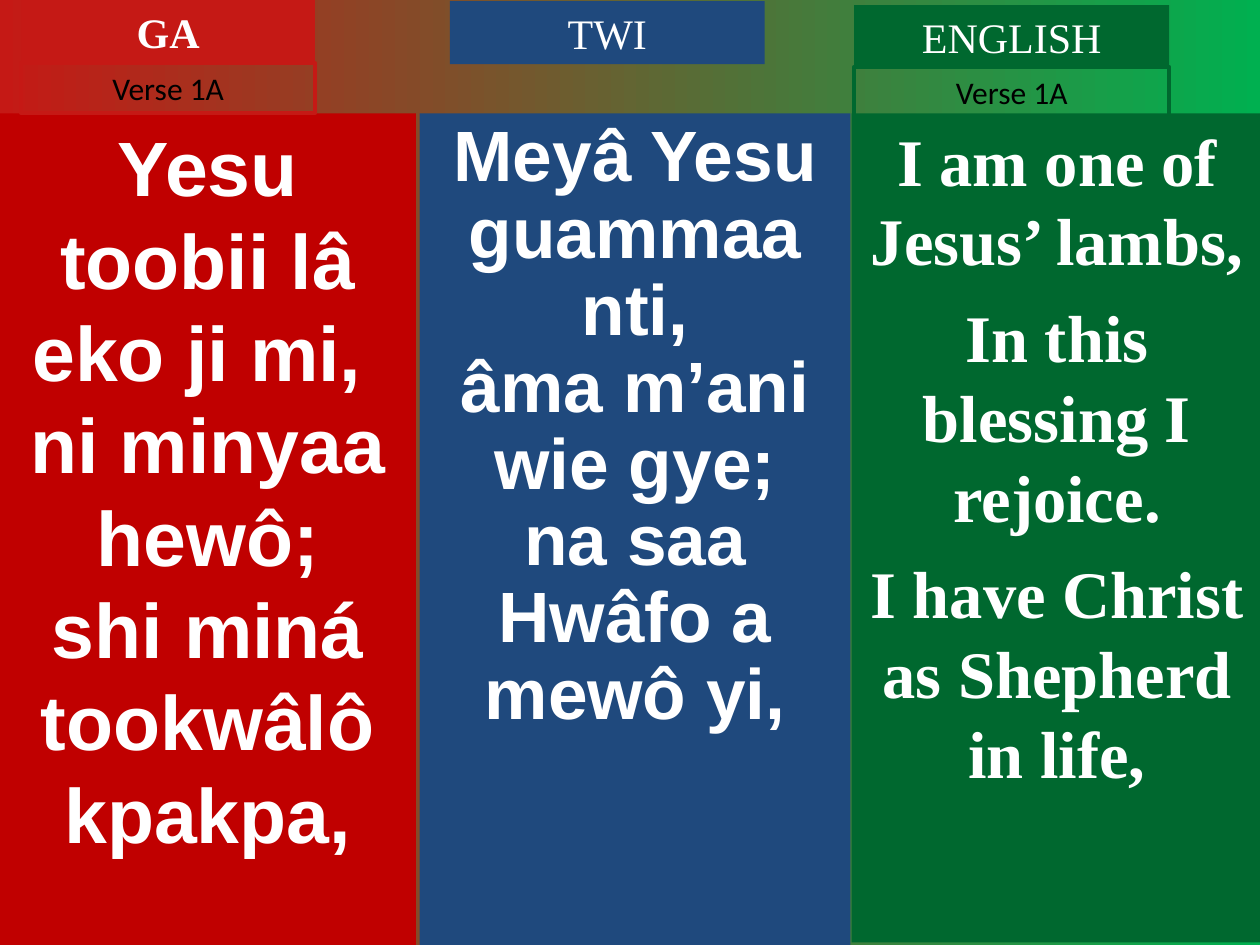
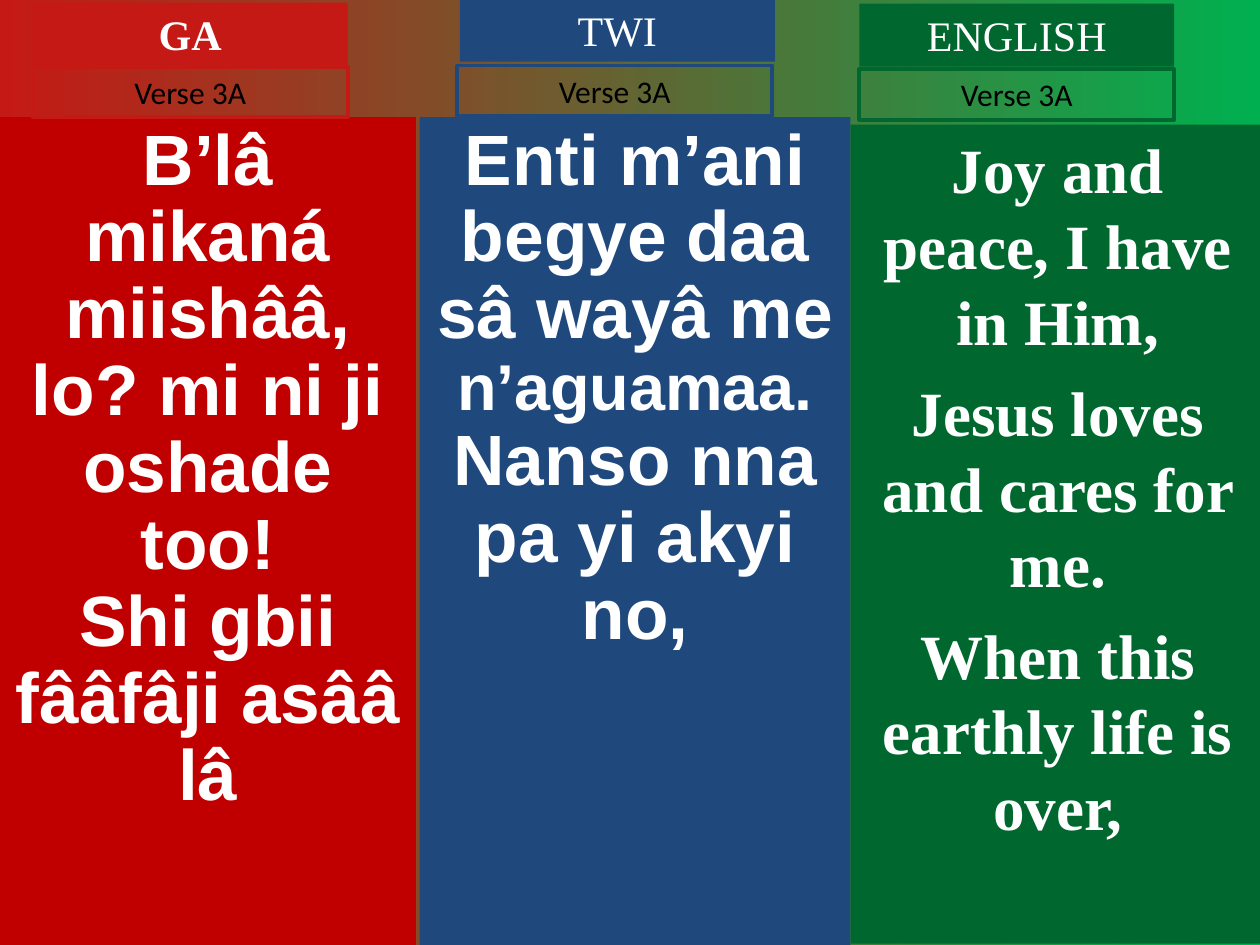
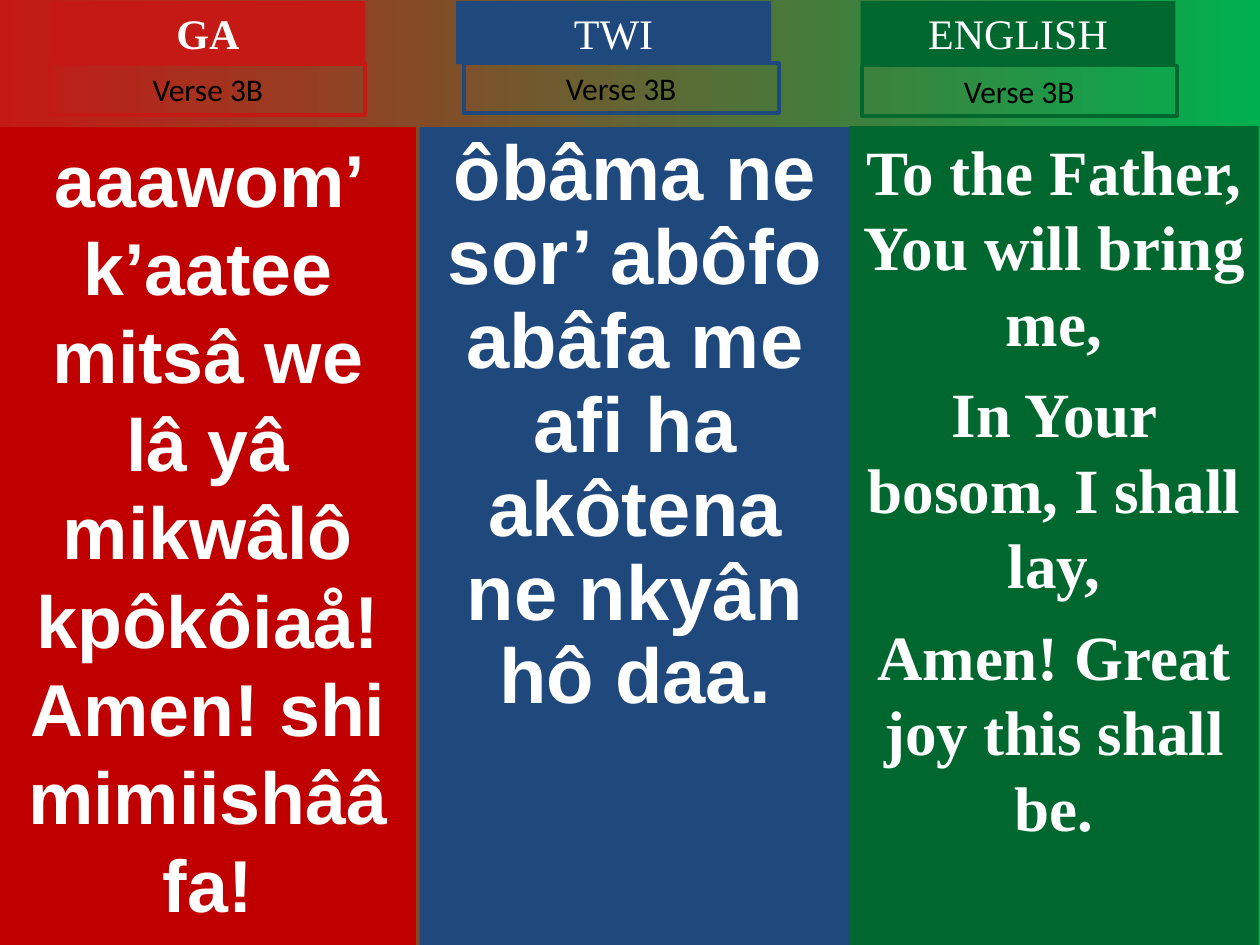
from pptx import Presentation
from pptx import util as u
from pptx.dml.color import RGBColor
from pptx.enum import shapes, text
from pptx.oxml.xmlchemy import OxmlElement

RED = RGBColor(0xC5, 0x19, 0x15)
DEEP = RGBColor(0xC0, 0x00, 0x00)
BLUE = RGBColor(0x1F, 0x49, 0x7D)
GREEN = RGBColor(0x00, 0x68, 0x2F)
LIME = RGBColor(0x00, 0xB0, 0x50)
WHITE = RGBColor(0xFF, 0xFF, 0xFF)
BLACK = RGBColor(0x00, 0x00, 0x00)

FRAME = {
    "word_wrap": True,
    "auto_size": text.MSO_AUTO_SIZE.NONE,
    "vertical_anchor": text.MSO_ANCHOR.TOP,
    "margin_left": u.Inches(0.1),
    "margin_right": u.Inches(0.1),
    "margin_top": u.Inches(0.05),
    "margin_bottom": u.Inches(0.05),
}
HEAD = {"name": "Times New Roman", "size": u.Pt(24), "bold": False}
NOTE = {"name": "Calibri", "size": u.Pt(18), "bold": False}
SONG = {"name": "Arial", "bold": True}
HYMN = {"name": "Times New Roman", "bold": True}

LANGS = [
    {"name": "GA", "tab": RED, "fill": DEEP, "font": SONG, "bold": True},
    {"name": "TWI", "tab": BLUE, "fill": BLUE, "font": SONG, "bold": False},
    {"name": "ENGLISH", "tab": GREEN, "fill": GREEN, "font": HYMN, "bold": False},
]

VERSES = [
    {"verse": "Verse 1A", "cols": [
        {"panel": (0, 0.9, 3.3, 6.6), "tab": (0.17, 0, 2.33, 0.5),
         "note": (0.17, 0.5, 2.33, 0.4), "size": 44, "lead": 1, "gap": 0,
         "lines": ["Yesu toobii lâ eko ji mi, ", "ni minyaa hewô;",
                   "shi miná tookwâlô kpakpa,"]},
        {"panel": (3.33, 0.9, 3.42, 6.6), "tab": (3.57, 0.01, 2.5, 0.5),
         "note": None, "size": 40.7, "lead": 0.9, "gap": 0,
         "lines": ["Meyâ Yesu guammaa nti,", "âma m’ani wie gye;",
                   "na saa Hwâfo a mewô yi,"]},
        {"panel": (6.76, 0.9, 3.26, 6.58), "tab": (6.78, 0.04, 2.5, 0.5),
         "note": (6.78, 0.53, 2.5, 0.4), "size": 38, "lead": 1, "gap": 9.5,
         "lines": ["I am one of Jesus’ lambs,", "In this blessing I rejoice.",
                   "I have Christ as Shepherd in life,"]},
    ]},
    {"verse": "Verse 3A", "cols": [
        {"panel": (0, 0.93, 3.3, 6.57), "tab": (0.26, 0.02, 2.5, 0.5),
         "note": (0.26, 0.53, 2.5, 0.4), "size": 40.7, "lead": 0.9, "gap": 0,
         "lines": ["B’lâ mikaná miishââ,", "lo? mi ni ji oshade too!",
                   "Shi gbii fââfâji asââ lâ"]},
        {"panel": (3.33, 0.93, 3.42, 6.57), "tab": (3.65, -0.01, 2.5, 0.5),
         "note": (3.63, 0.52, 2.5, 0.4), "size": 40.7, "lead": 0.9, "gap": 0,
         "lines": ["Enti m’ani begye daa",
                   [("sâ wayâ me ", 40.7), ("n’aguamaa.", 37)],
                   "Nanso nna pa yi akyi no,"]},
        {"panel": (6.75, 0.99, 3.29, 6.5), "tab": (6.82, 0.03, 2.5, 0.5),
         "note": (6.82, 0.55, 2.5, 0.4), "size": 36, "lead": 1, "gap": 9,
         "lines": ["Joy and peace, I have in Him,", "Jesus loves and cares for me.",
                   "When this earthly life is over,"]},
    ]},
    {"verse": "Verse 3B", "cols": [
        {"panel": (0, 1.01, 3.3, 6.49), "tab": (0.4, 0.01, 2.5, 0.5),
         "note": (0.4, 0.51, 2.5, 0.4), "size": 42, "lead": 1, "gap": 0,
         "lines": ["aaawom’ k’aatee mitsâ we lâ yâ mikwâlô kpôkôiaå!",
                   "Amen! shi mimiishââ fa!"]},
        {"panel": (3.33, 1.01, 3.42, 6.49), "tab": (3.62, 0.01, 2.5, 0.5),
         "note": (3.68, 0.5, 2.5, 0.4), "size": 44.4, "lead": 0.9, "gap": 0,
         "lines": ["ôbâma ne sor’ abôfo",
                   "abâfa me afi ha akôtena ne nkyân hô daa."]},
        {"panel": (6.74, 1, 3.25, 6.51), "tab": (6.83, 0.01, 2.5, 0.5),
         "note": (6.84, 0.52, 2.5, 0.4), "size": 36, "lead": 1, "gap": 9,
         "lines": ["To the Father, You will bring me,", "In Your bosom, I shall lay,",
                   "Amen! Great joy this shall be."]},
    ]},
]


def place(slide, box, fill=None, line=None, shape=None):
    if shape is None:
        shape = slide.shapes.add_shape(shapes.MSO_SHAPE.RECTANGLE, 0, 0, 0, 0)
        shape.shadow.inherit = False
    for key, val in zip(("left", "top", "width", "height"), box):
        setattr(shape, key, u.Inches(val))
    if fill is None:
        shape.fill.background()
    else:
        shape.fill.solid()
        shape.fill.fore_color.rgb = fill
    if line is None:
        shape.line.fill.background()
    else:
        shape.line.color.rgb = line
        shape.line.width = u.Pt(2.25)
    return shape


def write(shape, lines, font, color, lead=1, gap=0):
    frame = shape.text_frame
    for key, val in FRAME.items():
        setattr(frame, key, val)
    for i, line in enumerate(lines):
        para = frame.add_paragraph() if i else frame.paragraphs[0]
        if shape.is_placeholder:
            props = para._p.get_or_add_pPr()
            props.set("marL", "0")
            props.set("indent", "0")
            props.append(OxmlElement("a:buNone"))
        look = {"alignment": text.PP_ALIGN.CENTER, "line_spacing": float(lead),
                "space_before": u.Pt(gap if i else 0)}
        for key, val in look.items():
            setattr(para, key, val)
        parts = [(line, None)] if isinstance(line, str) else line
        for words, size in parts:
            run = para.add_run()
            run.text = words
            for key, val in font.items():
                setattr(run.font, key, val)
            if size:
                run.font.size = u.Pt(size)
            run.font.color.rgb = color


prs = Presentation()
prs.slide_width = u.Inches(10)
prs.slide_height = u.Inches(7.5)

back = prs.slide_master.background.fill
back.gradient()
back.gradient_angle = 0
for stop, color, spot in zip(back.gradient_stops, (RED, LIME), (0, 1)):
    stop.color.rgb = color
    stop.position = spot

for verse in VERSES:
    slide = prs.slides.add_slide(prs.slide_layouts[3])
    title, left, right = list(slide.placeholders)[:3]
    panels = [left, right, None]
    tabs = [title, None, None]
    for lang, col, panel, tab in zip(LANGS, verse["cols"], panels, tabs):
        panel = place(slide, col["panel"], lang["fill"], shape=panel)
        write(panel, col["lines"], lang["font"] | {"size": u.Pt(col["size"])},
              WHITE, col["lead"], col["gap"])
        tab = place(slide, col["tab"], lang["tab"], shape=tab)
        write(tab, [lang["name"]], HEAD | {"bold": lang["bold"]}, WHITE)
        if col["note"]:
            note = place(slide, col["note"], line=lang["tab"])
            write(note, [verse["verse"]], NOTE, BLACK)

prs.save("out.pptx")
